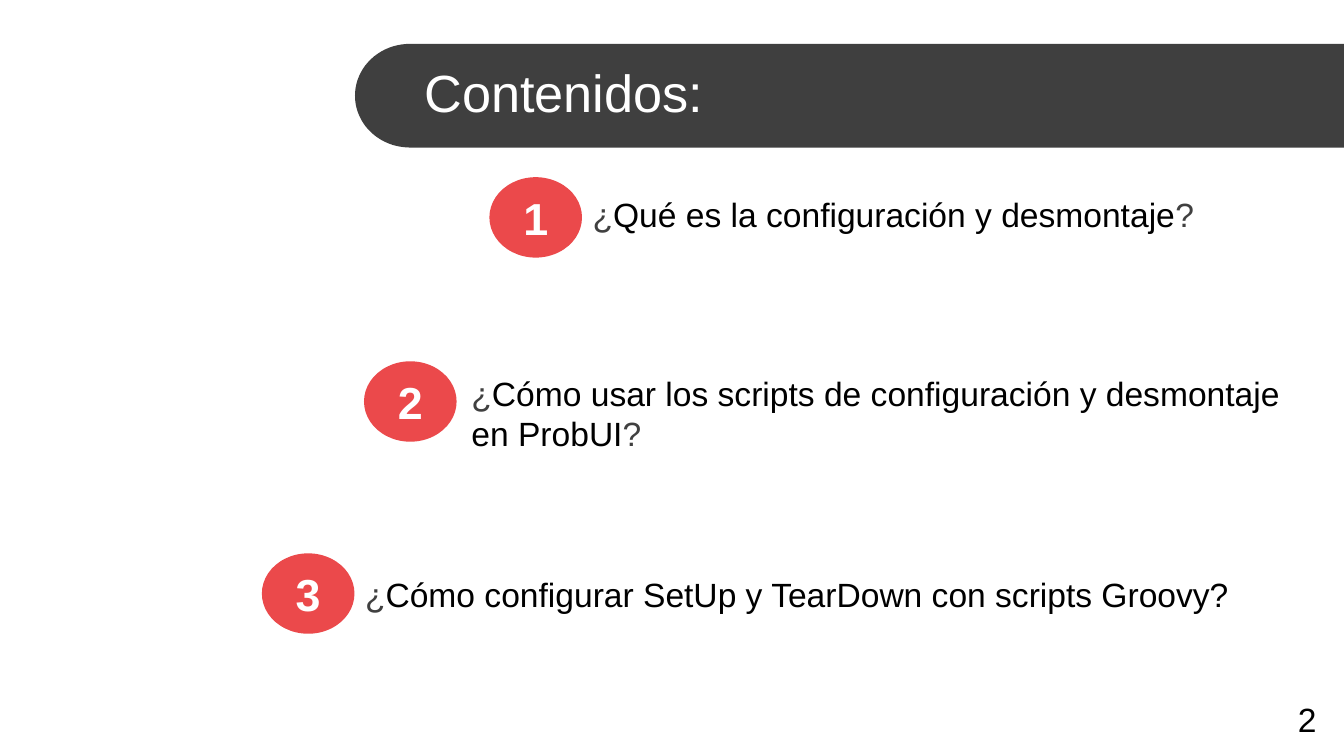
from math import cos, pi, sin

from pptx import Presentation
from pptx.dml.color import RGBColor
from pptx.enum.shapes import MSO_SHAPE
from pptx.enum.text import MSO_ANCHOR, PP_ALIGN
from pptx.util import Cm, Pt

OVAL = MSO_SHAPE.OVAL
MIDDLE, TOP = MSO_ANCHOR.MIDDLE, MSO_ANCHOR.TOP
LEFT, CENTER = PP_ALIGN.LEFT, PP_ALIGN.CENTER

WHITE = RGBColor(0xFF, 0xFF, 0xFF)
BLACK = RGBColor(0, 0, 0)
DARK = RGBColor(0x3F, 0x3F, 0x3F)
GRAY = RGBColor(0x40, 0x40, 0x40)
RED = RGBColor(0xEB, 0x49, 0x4B)

WIDE, HIGH = 25.4, 14.29
BAR_X, BAR_Y, BAR_H, CURVE = 6.71, 0.83, 1.96, 1.04
DOT_W, DOT_H = 1.75, 1.52
NUM_H = 1.27

TITLE = "Contenidos:"
PAGE = "2"
# dot position, text box, lines of (text, colour) runs
TOPICS = [
    ((9.25, 3.35), (10.95, 3.53, 12.8, 1.02),
     [[("¿", GRAY), ("Qué es la configuración y desmontaje", BLACK), ("?", GRAY)]]),
    ((6.88, 6.83), (8.66, 6.91, 18.34, 1.8),
     [[("¿", GRAY), ("Cómo usar los scripts de configuración y desmontaje", BLACK)],
      [("en ProbUI", BLACK), ("?", GRAY)]]),
    ((4.95, 10.46), (6.65, 10.72, 17.6, 1.02),
     [[("¿", GRAY), ("Cómo configurar SetUp y TearDown con scripts Groovy?", BLACK)]]),
]

deck = Presentation()
deck.slide_width, deck.slide_height = Cm(WIDE), Cm(HIGH)
slide = deck.slides.add_slide(deck.slide_layouts[6])
shapes = slide.shapes


def paint(shape, color):
    shape.shadow.inherit = False
    shape.fill.solid()
    shape.fill.fore_color.rgb = color
    shape.line.fill.background()


def write(box, lines, size, bold=False, align=LEFT, anchor=MIDDLE, wrap=True):
    frame = shapes.add_textbox(*map(Cm, box)).text_frame
    frame.word_wrap = wrap
    frame.vertical_anchor = anchor
    for i, runs in enumerate(lines):
        para = frame.add_paragraph() if i else frame.paragraphs[0]
        para.alignment = align
        for text, color in runs:
            run = para.add_run()
            run.text = text
            font = run.font
            font.name, font.size, font.bold = "Arial", Pt(size), bold
            font.color.rgb = color


def draw_bar():
    """Bar with a rounded left end that runs to the slide's right edge."""
    half, steps = BAR_H / 2, 40
    angles = [pi / 2 + pi * i / steps for i in range(steps + 1)]
    arc = [(Cm(BAR_X + CURVE + CURVE * cos(a)), Cm(BAR_Y + half + half * sin(a)))
           for a in angles]
    path = shapes.build_freeform(Cm(WIDE), Cm(BAR_Y))
    path.add_line_segments([(Cm(WIDE), Cm(BAR_Y + BAR_H))] + arc, close=True)
    paint(path.convert_to_shape(), DARK)


draw_bar()
write((7.77, 0.94, 17.63, 1.6), [[(TITLE, WHITE)]], 28)

for num, ((x, y), box, lines) in enumerate(TOPICS, 1):
    paint(shapes.add_shape(OVAL, Cm(x), Cm(y), Cm(DOT_W), Cm(DOT_H)), RED)
    write((x, y + (DOT_H - NUM_H) / 2, DOT_W, NUM_H), [[(str(num), WHITE)]],
          24, bold=True, align=CENTER)
    write(box, lines, 18)

write((24.28, 13.08, 0.86, 1.02), [[(PAGE, BLACK)]], 18, anchor=TOP, wrap=False)

deck.save("out.pptx")
